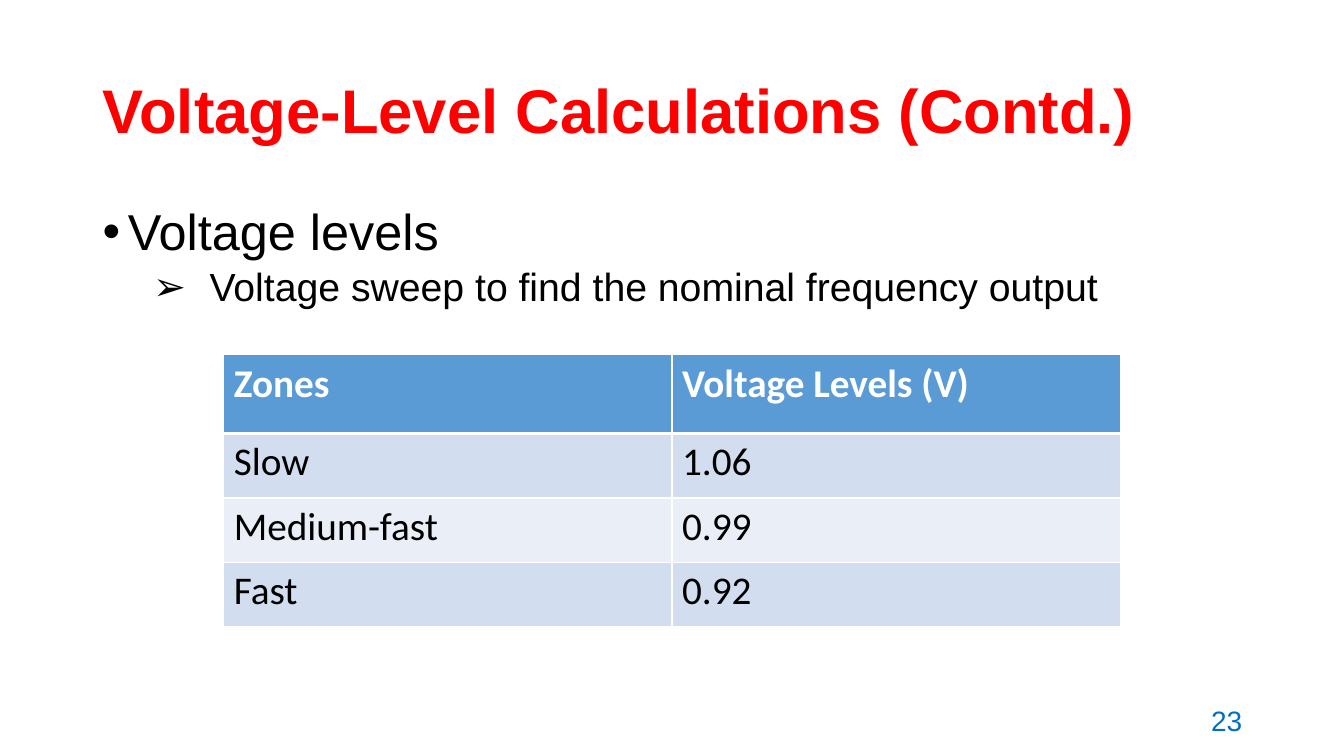
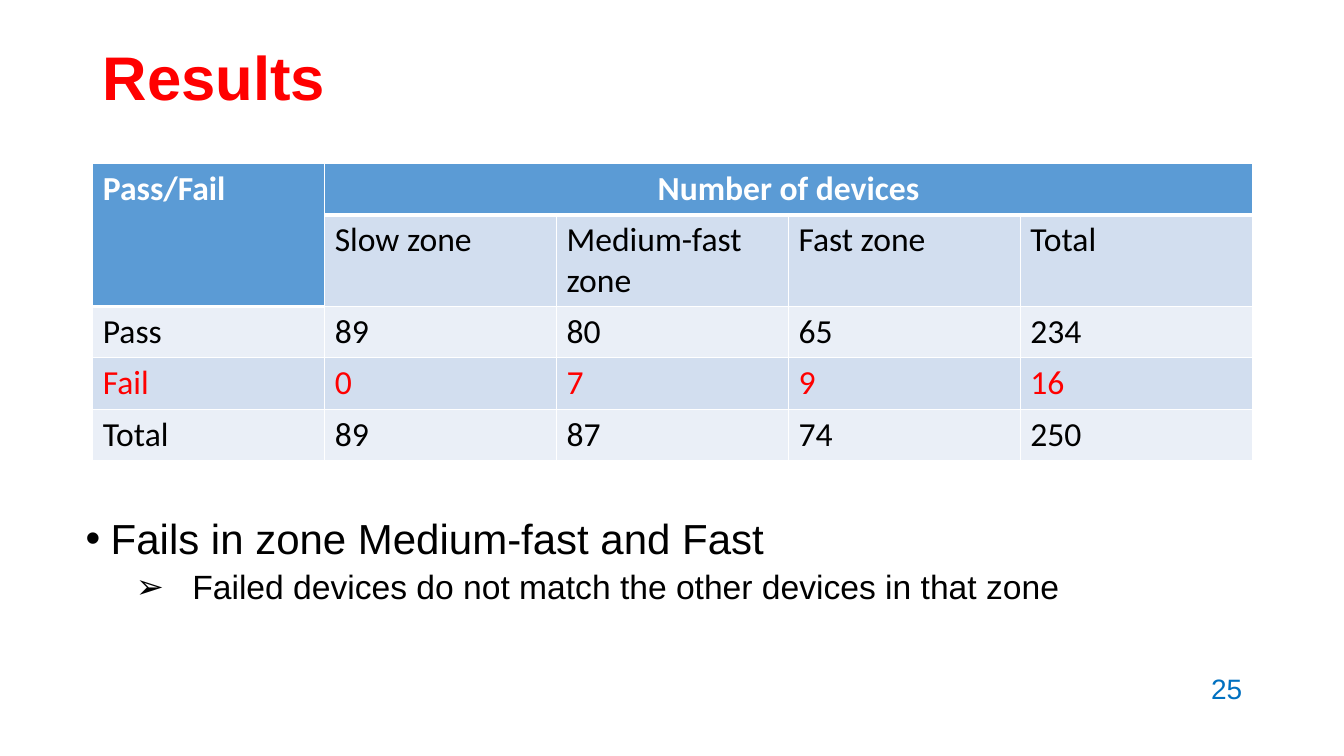
from dataclasses import dataclass

from lxml import etree
from pptx import Presentation
from pptx.dml.color import RGBColor
from pptx.enum.text import MSO_ANCHOR, MSO_AUTO_SIZE, PP_ALIGN
from pptx.oxml.ns import qn
from pptx.util import Inches, Pt


@dataclass(frozen=True)
class Theme:
    red: str = "FF0000"
    black: str = "000000"
    white: str = "FFFFFF"
    number_blue: str = "0070C0"
    header_fill: str = "5B9BD5"
    dark_band: str = "D2DEEF"
    light_band: str = "EAEFF7"
    text_font: str = "Arial"
    table_font: str = "Calibri"
    title_size: int = 44
    number_size: int = 20
    thin: int = 1
    thick: int = 3


THEME = Theme()
TITLE_ONLY = 5
LEFT, WIDTH = 0.92, 11.5


@dataclass(frozen=True)
class BulletLevel:
    mark: str
    margin: float
    hanging: float
    space_before: int


BULLET_LEVELS = [
    BulletLevel("•", 0.25, 0.25, 10),
    BulletLevel("➢", 1.06, 0.56, 5),
]


# Text
def write(para, text, *, size, color=THEME.black, font=THEME.text_font,
          bold=False, align=PP_ALIGN.LEFT):
    para.alignment = align
    span = para.add_run()
    span.text = text
    span.font.name = font
    span.font.size = Pt(size)
    span.font.bold = bold
    span.font.color.rgb = RGBColor.from_string(color)


def add_text_box(page, left, top, width, height):
    box = page.shapes.add_textbox(
        Inches(left), Inches(top), Inches(width), Inches(height))
    box.text_frame.word_wrap = True
    return box.text_frame


def set_bullet(para, level):
    props = para._p.get_or_add_pPr()
    props.set("marL", str(Inches(level.margin)))
    props.set("indent", str(-Inches(level.hanging)))
    etree.SubElement(props, qn("a:buFont"), typeface=THEME.text_font)
    etree.SubElement(props, qn("a:buChar"), char=level.mark)


def add_bullets(page, left, top, height, items):
    """Each item is (level, text, size)."""
    frame = add_text_box(page, left, top, WIDTH, height)
    for index, (depth, text, size) in enumerate(items):
        para = frame.add_paragraph() if index else frame.paragraphs[0]
        level = BULLET_LEVELS[depth]
        para.level = depth
        para.line_spacing = 0.9
        para.space_before = Pt(level.space_before)
        set_bullet(para, level)
        write(para, text, size=size)


# Page with title and number
def add_page(deck, title, title_top, number, number_top):
    page = deck.slides.add_slide(deck.slide_layouts[TITLE_ONLY])
    heading = page.shapes.title
    heading.left, heading.top = Inches(LEFT), Inches(title_top)
    heading.width, heading.height = Inches(WIDTH), Inches(1.45)
    frame = heading.text_frame
    frame.auto_size = MSO_AUTO_SIZE.NONE
    frame.vertical_anchor = MSO_ANCHOR.MIDDLE
    para = frame.paragraphs[0]
    para.line_spacing = 0.9
    write(para, title, size=THEME.title_size, color=THEME.red, bold=True)

    frame = add_text_box(page, 9.42, number_top, 3, 0.4)
    frame.vertical_anchor = MSO_ANCHOR.MIDDLE
    write(frame.paragraphs[0], number, size=THEME.number_size,
          color=THEME.number_blue, align=PP_ALIGN.RIGHT)
    return page


# Table
def set_borders(cell, widths):
    props = cell._tc.get_or_add_tcPr()
    for side, width in widths.items():
        line = etree.SubElement(props, qn(f"a:ln{side}"), w=str(Pt(width)))
        fill = etree.SubElement(line, qn("a:solidFill"))
        etree.SubElement(fill, qn("a:srgbClr"), val=THEME.white)


def add_table(page, left, top, width, heights, rows, *, size,
              merges=(), red_rows=()):
    """Each merge is (first cell, last cell); merged areas are headers."""
    columns = len(rows[0])
    table = page.shapes.add_table(
        len(rows), columns, Inches(left), Inches(top),
        Inches(width), Inches(sum(heights))).table
    for column in table.columns:
        column.width = Inches(width / columns)
    for row, height in zip(table.rows, heights):
        row.height = Inches(height)

    headers = {(0, c) for c in range(columns)}
    centred = set()
    for (top_row, first), (bottom_row, last) in merges:
        table.cell(top_row, first).merge(table.cell(bottom_row, last))
        headers |= {(r, c) for r in range(top_row, bottom_row + 1)
                    for c in range(first, last + 1)}
        if last > first:
            centred.add((top_row, first))

    for r, texts in enumerate(rows):
        band = THEME.dark_band if r % 2 else THEME.light_band
        body_color = THEME.red if r in red_rows else THEME.black
        for c, text in enumerate(texts):
            cell = table.cell(r, c)
            header = (r, c) in headers
            widths = {"L": THEME.thin, "R": THEME.thin}
            if r == 0:
                widths["T"] = THEME.thin
            widths["B"] = THEME.thick if header else THEME.thin
            set_borders(cell, widths)
            cell.fill.solid()
            cell.fill.fore_color.rgb = RGBColor.from_string(
                THEME.header_fill if header else band)
            if text:
                write(cell.text_frame.paragraphs[0], text, size=size,
                      font=THEME.table_font, bold=header,
                      color=THEME.white if header else body_color,
                      align=PP_ALIGN.CENTER if (r, c) in centred
                      else PP_ALIGN.LEFT)


# Slides
def add_voltage_page(deck):
    page = add_page(deck, "Voltage-Level Calculations (Contd.)", 0.4,
                    "23", 6.95)
    add_bullets(page, LEFT, 2, 1.3, [
        (0, "Voltage levels", 36),
        (1, "Voltage sweep to find the nominal frequency output", 28),
    ])
    add_table(page, 2.22, 3.52, 8.89, [0.78] + [0.64] * 3, [
        ["Zones", "Voltage Levels (V)"],
        ["Slow", "1.06"],
        ["Medium-fast", "0.99"],
        ["Fast", "0.92"],
    ], size=28)


def add_results_page(deck):
    page = add_page(deck, "Results", 0.07, "25", 6.63)
    add_table(page, LEFT, 1.62, WIDTH, [0.51, 0.91] + [0.51] * 3, [
        ["Pass/Fail", "Number of devices", "", "", ""],
        ["", "Slow zone", "Medium-fast zone", "Fast zone", "Total"],
        ["Pass", "89", "80", "65", "234"],
        ["Fail", "0", "7", "9", "16"],
        ["Total", "89", "87", "74", "250"],
    ], size=24, merges=[((0, 0), (1, 0)), ((0, 1), (0, 4))], red_rows={3})
    add_bullets(page, 0.75, 5.09, 1.17, [
        (0, "Fails in zone Medium-fast and Fast", 30),
        (1, "Failed devices do not match the other devices in that zone", 24),
    ])


def main():
    deck = Presentation()
    deck.slide_width, deck.slide_height = Inches(13.33), Inches(7.5)
    add_voltage_page(deck)
    add_results_page(deck)
    deck.save("out.pptx")


if __name__ == "__main__":
    main()
